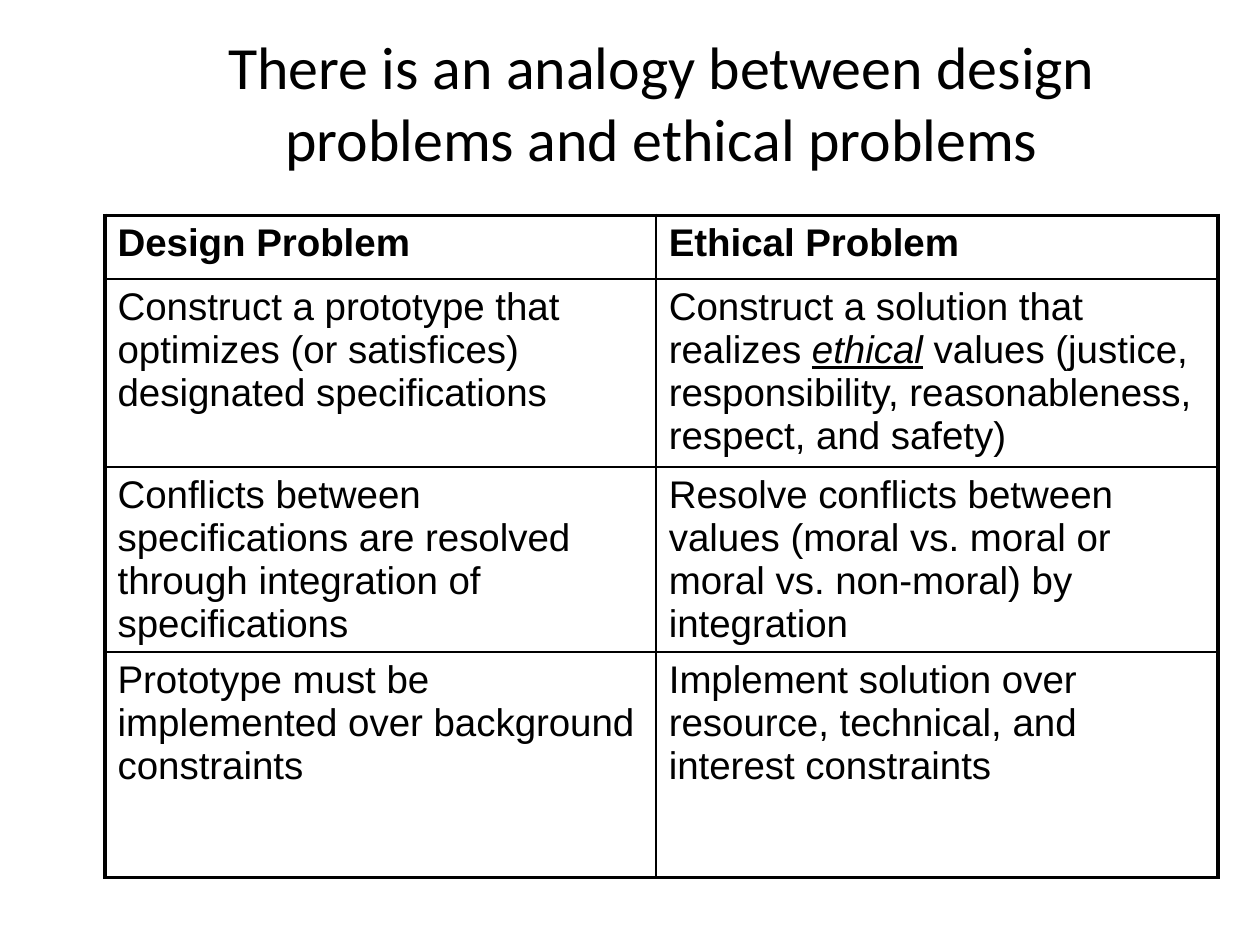
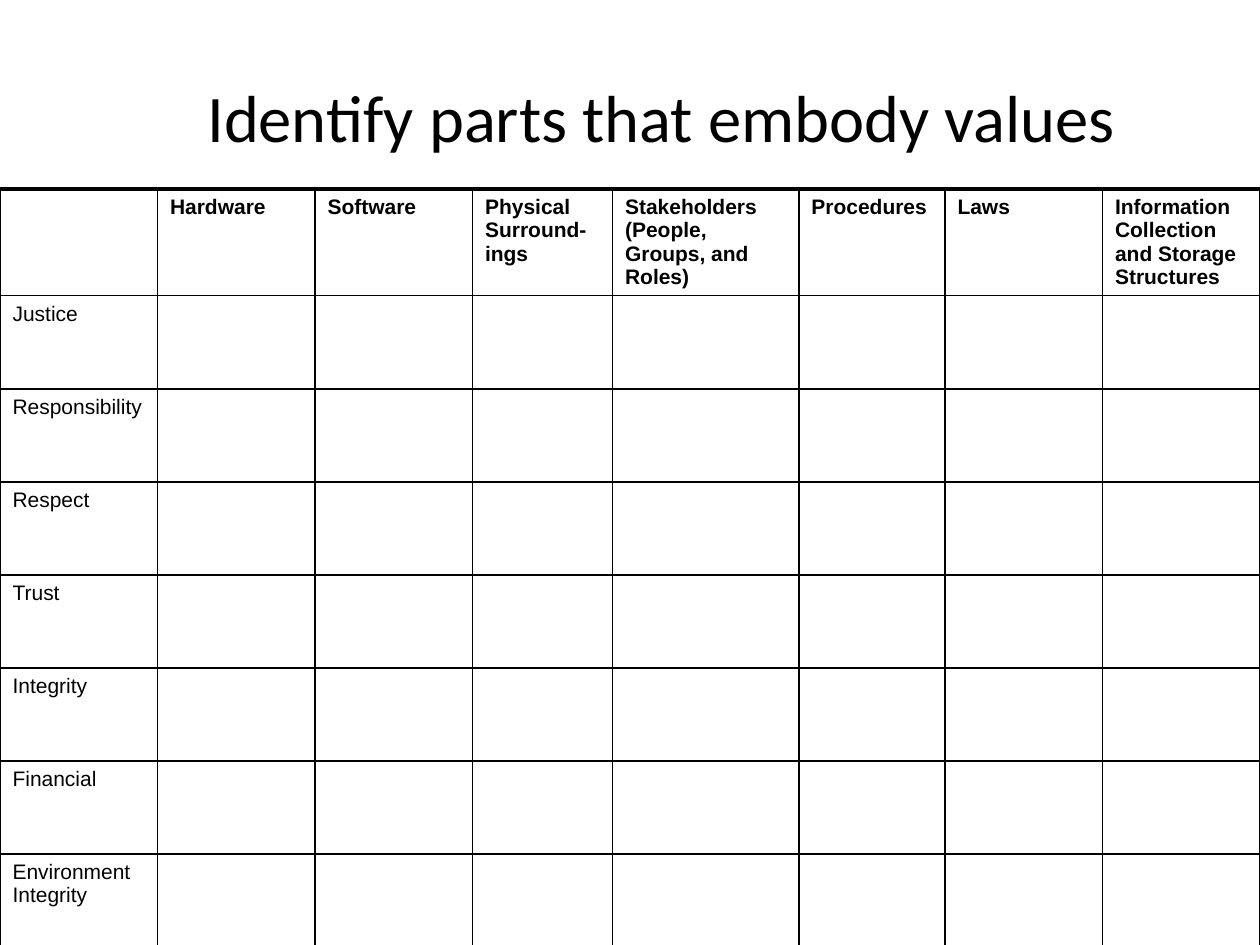
import pptx
import pptx.dml.color
import pptx.enum.text
import pptx.oxml.ns
import pptx.util
from lxml import etree

Pt = pptx.util.Pt
COLOURS = {"ink": "000000", "paper": "FFFFFF"}
TITLE_FONT, TABLE_FONT = "Calibri", "Arial"
THIN, THICK = 1, 2.25

ANALOGY = [
    ("Design Problem", "Ethical Problem"),
    ("Construct a prototype that optimizes (or satisfices) designated specifications",
     "Construct a solution that realizes _ethical_ values (justice, responsibility, "
     "reasonableness, respect, and safety)"),
    ("Conflicts between specifications are resolved through integration of specifications",
     "Resolve conflicts between values (moral vs. moral or moral vs. non-moral) by integration"),
    ("Prototype must be implemented over background constraints",
     "Implement solution over resource, technical, and interest constraints"),
]
PARTS = ["Hardware", "Software", "Physical Surround-ings",
         "Stakeholders (People, Groups, and Roles)", "Procedures", "Laws",
         "Information Collection and Storage Structures"]
VALUES = ["Justice", "Responsibility", "Respect", "Trust", "Integrity",
          "Financial", "Environment Integrity"]


def rgb(name):
    return pptx.dml.color.RGBColor.from_string(COLOURS[name])


def style_font(font, face, size, bold=False):
    font.name, font.size, font.bold = face, Pt(size), bold
    font.color.rgb = rgb("ink")


def add_titled_slide(deck, box, title, size):
    slide = deck.slides.add_slide(deck.slide_layouts[5])
    slide.background.fill.solid()
    slide.background.fill.fore_color.rgb = rgb("paper")
    heading = slide.shapes.title
    heading.left, heading.top, heading.width, heading.height = map(Pt, box)
    frame = heading.text_frame
    frame.text = title
    frame.word_wrap = True
    frame.auto_size = pptx.enum.text.MSO_AUTO_SIZE.NONE
    frame.vertical_anchor = pptx.enum.text.MSO_ANCHOR.MIDDLE
    frame.paragraphs[0].alignment = pptx.enum.text.PP_ALIGN.CENTER
    style_font(frame.paragraphs[0].font, TITLE_FONT, size)
    return slide


def draw_borders(cell, widths):
    properties = cell._tc.get_or_add_tcPr()
    for side, width in zip("LRTB", widths):
        line = etree.SubElement(properties, pptx.oxml.ns.qn(f"a:ln{side}"), w=str(Pt(width)))
        fill = etree.SubElement(line, pptx.oxml.ns.qn("a:solidFill"))
        etree.SubElement(fill, pptx.oxml.ns.qn("a:srgbClr"), val=COLOURS["ink"])


def write_cell(cell, text, size, bold):
    paragraph = cell.text_frame.paragraphs[0]
    style_font(paragraph.font, TABLE_FONT, size, bold)
    for position, part in enumerate(text.split("_")):
        if part:
            run = paragraph.add_run()
            run.text = part
            if position % 2:
                run.font.italic = run.font.underline = True


def add_grid(slide, origin, widths, heights, content, size, side_width):
    box = (*origin, sum(widths), sum(heights))
    table = slide.shapes.add_table(len(heights), len(widths), *map(Pt, box)).table
    table.first_row = table.horz_banding = False
    for column, width in zip(table.columns, widths):
        column.width = Pt(width)
    for row, height in zip(table.rows, heights):
        row.height = Pt(height)
    last_row, last_column = len(heights) - 1, len(widths) - 1
    for r, texts in enumerate(content):
        for c, text in enumerate(texts):
            cell = table.cell(r, c)
            draw_borders(cell, (
                side_width if c == 0 else THIN,
                side_width if c == last_column else THIN,
                THICK if r == 0 else THIN,
                THICK if r == last_row else THIN,
            ))
            cell.fill.background()
            write_cell(cell, text, size, bold=r == 0)


def add_analogy_slide(deck):
    slide = add_titled_slide(
        deck, (72, 12, 612, 92),
        "There is an analogy between design problems and ethical problems", 34.2)
    add_grid(slide, (60, 123), (315, 321), (36.5, 107.5, 86.4, 129),
             ANALOGY, 22, THICK)


def add_values_slide(deck):
    slide = add_titled_slide(deck, (72, 21.5, 612, 90), "Identify parts that embody values", 38)
    content = [["", *PARTS]] + [[value] + [""] * len(PARTS) for value in VALUES]
    add_grid(slide, (0, 108), (90, 90, 90, 80, 106.5, 83.5, 90, 90),
             [60] + [53.2] * len(VALUES), content, 12, THIN)


deck = pptx.Presentation()
deck.slide_width, deck.slide_height = Pt(720), Pt(540)
add_analogy_slide(deck)
add_values_slide(deck)
deck.save("out.pptx")
